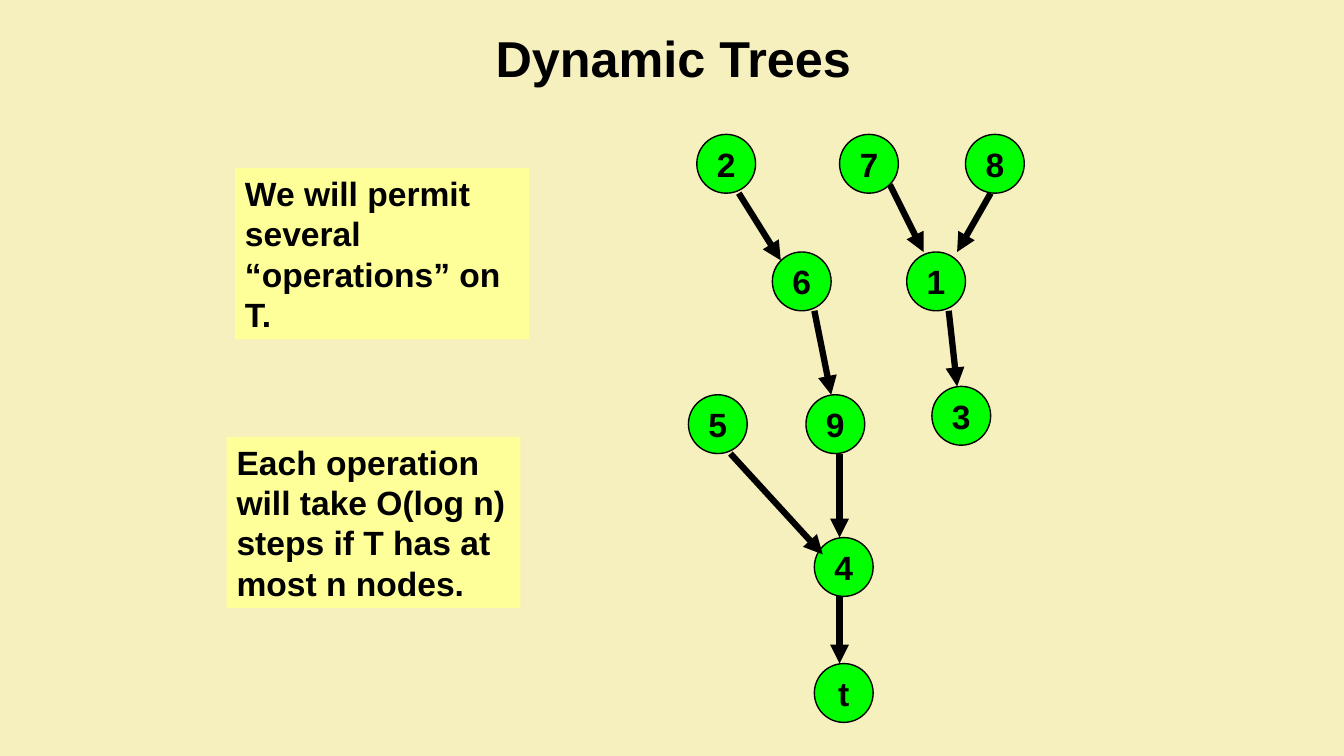
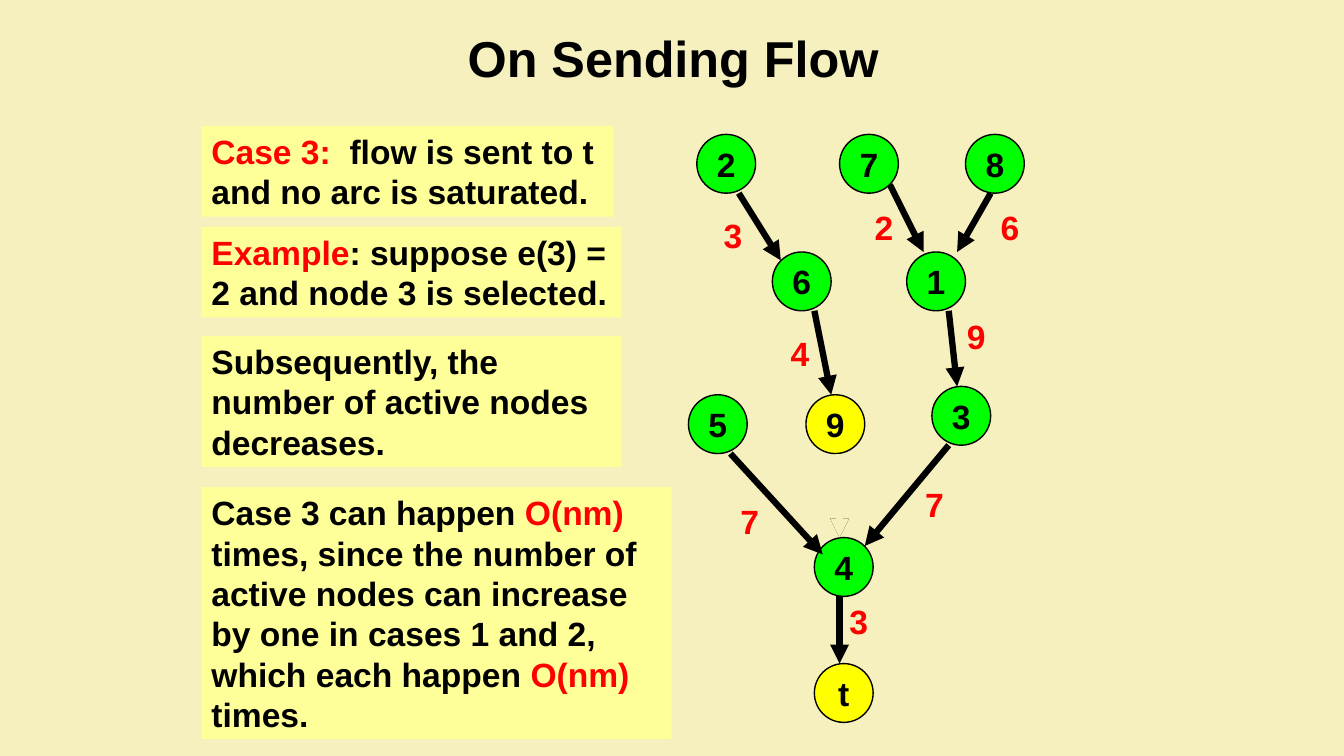
from dataclasses import dataclass

from lxml import etree
from pptx import Presentation
from pptx.dml.color import RGBColor
from pptx.enum.shapes import MSO_CONNECTOR, MSO_SHAPE
from pptx.enum.text import MSO_ANCHOR, MSO_AUTO_SIZE, PP_ALIGN
from pptx.oxml.ns import qn
from pptx.util import Inches, Pt

STRAIGHT = MSO_CONNECTOR.STRAIGHT
OVAL = MSO_SHAPE.OVAL
RECTANGLE = MSO_SHAPE.RECTANGLE
MIDDLE = MSO_ANCHOR.MIDDLE
TOP = MSO_ANCHOR.TOP
GROW = MSO_AUTO_SIZE.SHAPE_TO_FIT_TEXT
CENTER = PP_ALIGN.CENTER
LEFT = PP_ALIGN.LEFT
TITLE_ONLY = 5

# All positions and lengths count cells of a grid, twelve cells to the inch.
CELL = Inches(1) / 12
NODE_SIZE = 7
FLOW_SIZE = 6
TITLE_AREA = (8.2, 1.6, 144, 10.4)


@dataclass(frozen=True)
class Theme:
    background: str = "F5F0BD"
    note: str = "FFFF99"
    node: str = "00FF00"
    active_node: str = "FFFF00"
    ink: str = "000000"
    accent: str = "FF0000"
    font: str = "Arial"
    title_size: int = 36
    text_size: int = 24
    outline: float = 1
    arrow: float = 4.5


THEME = Theme()

NODES = {
    "1": (108, 30), "2": (83, 16), "6": (92, 30), "7": (100, 16),
    "9": (96, 47), "4": (97, 64), "3": (111, 46), "5": (82, 47),
    "t": (97, 79), "8": (115, 16),
}
ARCS = {
    ("2", "6"): (88, 23, 93, 31),
    ("7", "1"): (106, 22, 110, 30),
    ("8", "1"): (118, 23, 114, 30),
    ("1", "3"): (113, 37, 114, 46),
    ("6", "9"): (97, 37, 99, 47),
    ("9", "4"): (100, 54, 100, 64),
    ("5", "4"): (87, 54, 98, 66),
    ("4", "t"): (100, 71, 100, 79),
}
NEW_ARC = (113, 53, 103, 65)
FLOWS = [
    ("3", 85, 25), ("2", 103, 24), ("6", 118, 24), ("9", 114, 37),
    ("7", 87, 59), ("4", 93, 39), ("3", 100, 71), ("7", 109, 57),
]


def cells(*counts):
    return [round(count * CELL) for count in counts]


def rgb(color):
    return RGBColor.from_string(color)


def write(frame, text, size=THEME.text_size, color=THEME.ink, align=LEFT,
          anchor=TOP, wrap=True):
    """Write a string, or a list of (string, colour) parts, as one paragraph."""
    frame.word_wrap = wrap
    frame.vertical_anchor = anchor
    paragraph = frame.paragraphs[0]
    paragraph.alignment = align
    parts = [(text, color)] if isinstance(text, str) else text
    for words, part_color in parts:
        run = paragraph.add_run()
        run.text = words
        run.font.name = THEME.font
        run.font.size = Pt(size)
        run.font.bold = True
        run.font.color.rgb = rgb(part_color)


class Deck:
    def __init__(self):
        self.prs = Presentation()
        self.prs.slide_width = Inches(13.34)
        self.prs.slide_height = Inches(7.5)
        backdrop = self.prs.slide_master.background.fill
        backdrop.solid()
        backdrop.fore_color.rgb = rgb(THEME.background)
        self.layout = self.prs.slide_layouts[TITLE_ONLY]
        self.slide = None

    def start_slide(self, heading):
        self.slide = self.prs.slides.add_slide(self.layout)
        title = self.slide.shapes.title
        title.left, title.top, title.width, title.height = cells(*TITLE_AREA)
        write(title.text_frame, heading, size=THEME.title_size, align=CENTER,
              anchor=MIDDLE)

    def filled(self, kind, area, fill):
        shape = self.slide.shapes.add_shape(kind, *cells(*area))
        shape.shadow.inherit = False
        shape.fill.solid()
        shape.fill.fore_color.rgb = rgb(fill)
        shape.line.fill.background()
        return shape

    def note(self, text, *area):
        frame = self.filled(RECTANGLE, area, THEME.note).text_frame
        write(frame, text)
        frame.auto_size = GROW

    def flow(self, amount, left, top):
        area = (left, top, FLOW_SIZE, FLOW_SIZE)
        frame = self.filled(RECTANGLE, area, THEME.background).text_frame
        write(frame, amount, color=THEME.accent)
        frame.auto_size = GROW

    def node(self, name, left, top, fill):
        circle = self.filled(OVAL, (left, top, NODE_SIZE, NODE_SIZE), fill)
        circle.line.color.rgb = rgb(THEME.ink)
        circle.line.width = Pt(THEME.outline)
        write(circle.text_frame, name, align=CENTER, anchor=MIDDLE, wrap=False)

    def arc(self, ends, color=THEME.ink):
        arrow = self.slide.shapes.add_connector(STRAIGHT, *cells(*ends))
        arrow.line.color.rgb = rgb(color)
        arrow.line.width = Pt(THEME.arrow)
        etree.SubElement(arrow.line._get_or_add_ln(), qn("a:tailEnd"),
                         type="triangle")
        etree.SubElement(arrow._element.spPr, qn("a:effectLst"))

    def tree(self, active=()):
        for name, corner in NODES.items():
            fill = THEME.active_node if name in active else THEME.node
            self.node(name, *corner, fill)
        for ends in ARCS.values():
            self.arc(ends)


def operations_slide(deck):
    deck.start_slide("Dynamic Trees")
    deck.tree()
    deck.note("We will permit several “operations” on T.", 28, 20, 35, 20.4)
    deck.note("Each operation will take O(log n) steps if T has at most "
              "n nodes.", 27, 52, 35, 20.4)


def sending_flow_slide(deck):
    ink, accent = THEME.ink, THEME.accent
    deck.start_slide("On Sending Flow")
    for flow in FLOWS:
        deck.flow(*flow)
    deck.tree(active=("9", "t"))
    deck.arc(ARCS["9", "4"], color=THEME.background)
    deck.arc(NEW_ARC)

    deck.note([("Case 3:  ", accent),
               ("flow is sent to t and no arc is saturated.", ink)],
              24, 15, 49, 10.8)
    deck.note([("Example", accent),
               (": suppose e(3) = 2 and node 3 is selected.", ink)],
              24, 27, 50, 10.8)
    deck.note("Subsequently, the number of active nodes decreases.",
              24, 40, 50, 15.6)
    deck.note([("Case 3 can happen ", ink), ("O(nm)", accent),
               (" times, since the number of active nodes can increase by "
                "one in cases 1 and 2, which each happen ", ink),
               ("O(nm)", accent), (" times.", ink)],
              24, 58, 56, 30)


def main():
    deck = Deck()
    operations_slide(deck)
    sending_flow_slide(deck)
    deck.prs.save("out.pptx")


if __name__ == "__main__":
    main()
